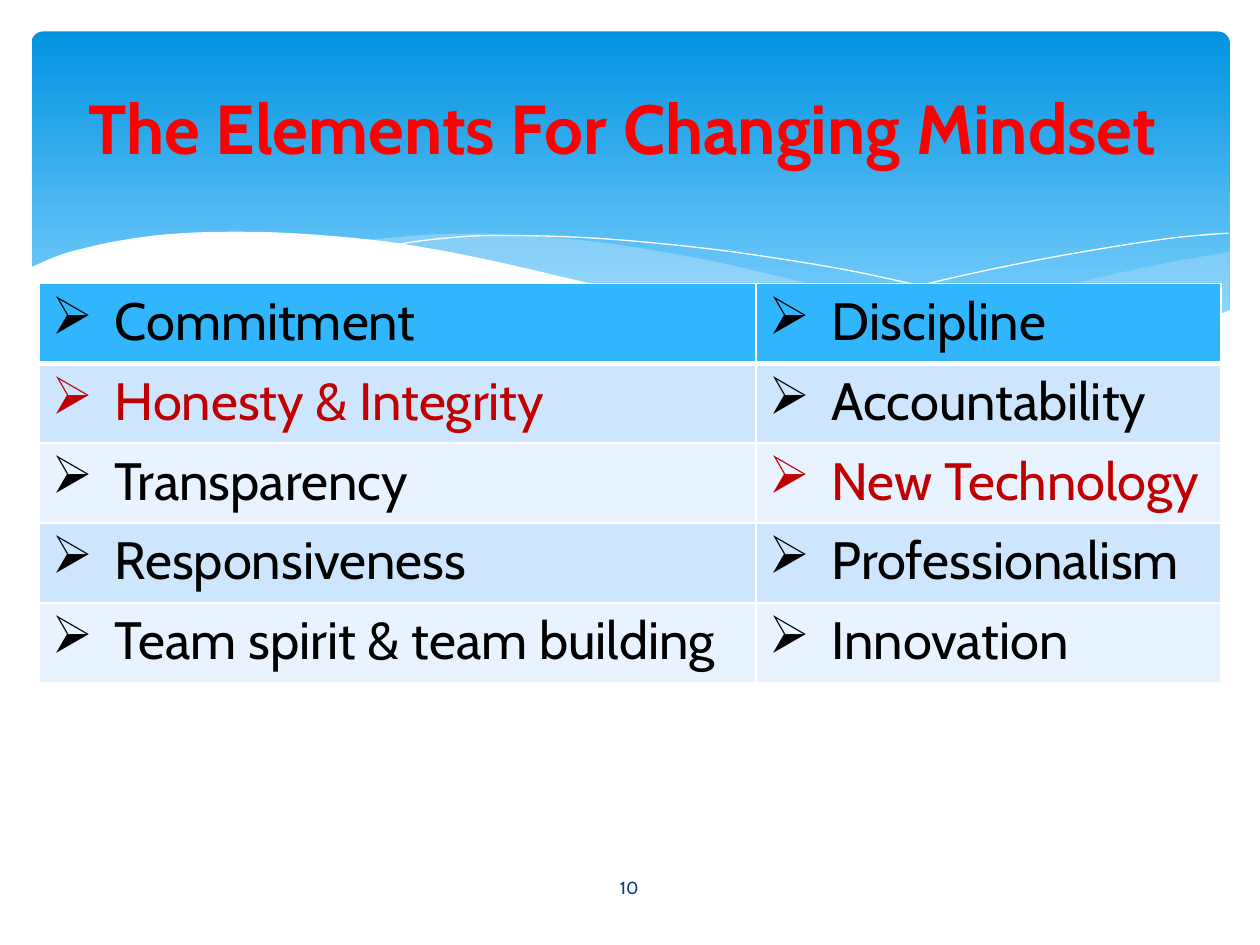
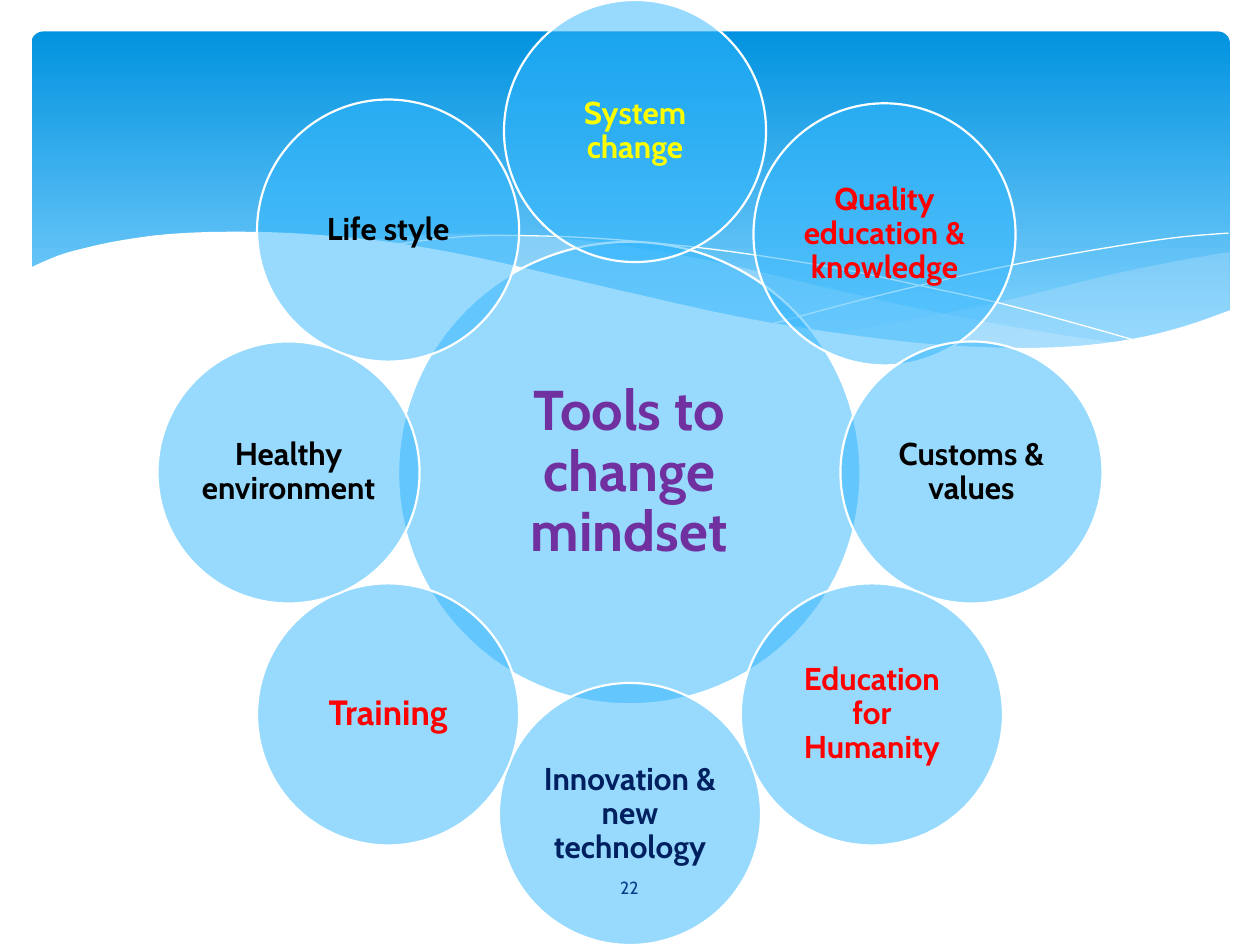
from dataclasses import dataclass
from math import cos, radians, sin

from lxml.etree import SubElement
from pptx import Presentation
from pptx.dml.color import RGBColor
from pptx.enum.shapes import MSO_SHAPE as Preset
from pptx.enum.text import MSO_ANCHOR as Anchor, PP_ALIGN as Align
from pptx.oxml.ns import qn
from pptx.util import Pt

PX = 9144


@dataclass(frozen=True)
class Theme:
    font: str = "Cabin"
    sky: str = "0293E0"
    sky_pale: str = "83D3FE"
    swell: str = "C6E7FC"
    white: str = "FFFFFF"
    black: str = "000000"
    red: str = "FF0000"
    crimson: str = "C00000"
    purple: str = "7030A0"
    yellow: str = "FFFF00"
    navy: str = "002060"
    page_ink: str = "073E87"
    accent: str = "31B6FD"
    row_dark: str = "CEE5FE"
    row_light: str = "E8F3FF"
    title_size: float = 39.6
    table_size: int = 30
    hub_size: int = 32
    tool_size: int = 18
    training_size: int = 20
    page_size: int = 10


@dataclass(frozen=True)
class Box:
    x: int
    y: int
    w: int
    h: int

    def emu(self):
        return [side * PX for side in (self.x, self.y, self.w, self.h)]


THEME = Theme()
BAND = Box(25, 25, 951, 270)
TITLE = Box(44, 67, 900, 67)
PAGE_NUMBER = Box(436, 684, 127, 40)
TABLE = Box(31, 225, 938, 317)
RING = Box(125, 0, 750, 750)

RIGHT_SWELL_TOP = [
    (951, 175), (910, 182), (866, 191), (836, 198),
    (780, 212), (728, 223), (681, 232), (636, 240),
]
RIGHT_SWELL_BASE = [
    (636, 240), (680, 246), (720, 250), (767, 252), (810, 252),
    (856, 249), (896, 240), (924, 232), (951, 222),
]
MIDDLE_SWELL_TOP = [
    (868, 248), (812, 240), (750, 229), (681, 215), (604, 197), (544, 183),
    (489, 173), (440, 166), (374, 161), (319, 161), (261, 166),
]
MIDDLE_SWELL_BASE = [
    (261, 166), (317, 174), (379, 186), (424, 197), (505, 215), (576, 230),
    (640, 241), (697, 249), (748, 252), (803, 253), (868, 248),
]
FALLING_LINE = [
    (284, 170), (319, 165), (362, 162), (425, 163), (485, 167), (557, 175),
    (640, 188), (702, 201), (770, 216), (844, 236), (882, 247),
]
RISING_LINE = [
    (588, 232), (647, 216), (695, 204), (751, 191),
    (811, 179), (870, 169), (913, 163), (950, 160),
]
FRONT_WAVE = [
    (952, 221), (915, 234), (874, 244), (825, 250), (768, 251), (701, 247),
    (623, 237), (554, 225), (478, 208), (422, 195), (366, 182), (315, 172),
    (267, 165), (205, 160), (152, 159), (107, 161), (70, 166), (42, 172),
    (21, 178), (-2, 188),
]
FRONT_CORNERS = [(-2, 304), (952, 304)]

ELEMENTS = [
    [("Commitment", THEME.black), ("Discipline", THEME.black)],
    [("Honesty & Integrity", THEME.crimson), ("Accountability", THEME.black)],
    [("Transparency", THEME.black), ("New Technology", THEME.crimson)],
    [("Responsiveness", THEME.black), ("Professionalism", THEME.black)],
    [("Team spirit & team building", THEME.black), ("Innovation", THEME.black)],
]

TOOLS = [
    ("System change", THEME.yellow, THEME.tool_size, (4, 0)),
    ("Quality education & knowledge", THEME.red, THEME.tool_size, (10, 3)),
    ("Customs & values", THEME.black, THEME.tool_size, (0, 0)),
    ("Education for Humanity", THEME.red, THEME.tool_size, (0, 0)),
    ("Innovation & new technology", THEME.navy, THEME.tool_size, (0, 0)),
    ("Training", THEME.red, THEME.training_size, (0, 0)),
    ("Healthy environment", THEME.black, THEME.tool_size, (0, 0)),
    ("Life style", THEME.black, THEME.tool_size, (0, 0)),
]


def rgb(code):
    return RGBColor.from_string(code)


def add_span(para, text, size, color, bold=False):
    span = para.add_run()
    span.text = text
    span.font.name = THEME.font
    span.font.size = Pt(size)
    span.font.bold = bold
    span.font.color.rgb = rgb(color)


def write_centred(frame, text, size, color, bold=False, margin=None):
    frame.word_wrap = True
    frame.vertical_anchor = Anchor.MIDDLE
    if margin is not None:
        frame.margin_left = frame.margin_right = margin * PX
        frame.margin_top = frame.margin_bottom = margin * PX
    para = frame.paragraphs[0]
    para.alignment = Align.CENTER
    add_span(para, text, size, color, bold)
    return para


def paint(shape, color, opacity=100):
    shape.shadow.inherit = False
    shape.fill.solid()
    shape.fill.fore_color.rgb = rgb(color)
    if opacity < 100:
        tint = shape.element.spPr.find(qn("a:solidFill")).find(qn("a:srgbClr"))
        SubElement(tint, qn("a:alpha"), val=str(opacity * 1000))


def smooth(knots, steps=4):
    padded = [knots[0], *knots, knots[-1]]
    curve = []
    for a, b, c, d in zip(padded, padded[1:], padded[2:], padded[3:]):
        for step in range(steps):
            t = step / steps
            curve.append(tuple(
                q + t * (r - p + t * (2 * p - 5 * q + 4 * r - s
                                      + t * (3 * q - p - 3 * r + s))) / 2
                for p, q, r, s in zip(a, b, c, d)
            ))
    return curve + [knots[-1]]


def add_outline(page, box, points, closed):
    placed = [((box.x + x) * PX, (box.y + y) * PX) for x, y in points]
    builder = page.shapes.build_freeform(*placed[0], scale=1.0)
    builder.add_line_segments(placed[1:], close=closed)
    return builder.convert_to_shape()


def add_swell(page, box, points, color, opacity=100):
    swell = add_outline(page, box, points, True)
    paint(swell, color, opacity)
    swell.line.fill.background()


def add_hairline(page, box, knots):
    hairline = add_outline(page, box, smooth(knots), False)
    hairline.shadow.inherit = False
    hairline.fill.background()
    hairline.line.color.rgb = rgb(THEME.white)
    hairline.line.width = Pt(0)


def add_wave_band(page, box):
    band = page.shapes.add_shape(Preset.ROUNDED_RECTANGLE, *box.emu())
    band.adjustments[0] = 0.034
    band.shadow.inherit = False
    band.line.fill.background()
    band.fill.gradient()
    band.fill.gradient_angle = 270
    stops = zip(band.fill.gradient_stops, (THEME.sky, THEME.sky_pale), (0, 0.9))
    for stop, color, position in stops:
        stop.color.rgb = rgb(color)
        stop.position = position
    right = smooth(RIGHT_SWELL_TOP) + smooth(RIGHT_SWELL_BASE)
    middle = smooth(MIDDLE_SWELL_TOP) + smooth(MIDDLE_SWELL_BASE)
    add_swell(page, box, right, THEME.swell, 29)
    add_swell(page, box, middle, THEME.swell, 40)
    add_hairline(page, box, FALLING_LINE)
    add_hairline(page, box, RISING_LINE)
    add_swell(page, box, smooth(FRONT_WAVE) + FRONT_CORNERS, THEME.white)


def place_title(page, box, text):
    title = page.shapes.title
    title.element.getparent().append(title.element)
    title.left, title.top, title.width, title.height = box.emu()
    write_centred(title.text_frame, text, THEME.title_size, THEME.red, True)


def add_page_number(page, box, number):
    label = page.shapes.add_textbox(*box.emu())
    write_centred(label.text_frame, str(number), THEME.page_size, THEME.page_ink)


def add_borders(cell, bottom):
    properties = cell._tc.get_or_add_tcPr()
    for side, width in (("L", 1), ("R", 1), ("T", 1), ("B", bottom)):
        line = SubElement(properties, qn(f"a:ln{side}"), w=str(Pt(width)))
        SubElement(SubElement(line, qn("a:solidFill")), qn("a:srgbClr"), val=THEME.white)


def fill_cell(cell, text, color, fill, bottom):
    add_borders(cell, bottom)
    cell.fill.solid()
    cell.fill.fore_color.rgb = rgb(fill)
    para = cell.text_frame.paragraphs[0]
    properties = para._p.get_or_add_pPr()
    properties.set("marL", str(50 * PX))
    properties.set("indent", str(-50 * PX))
    SubElement(properties, qn("a:buChar"), char="➢")
    add_span(para, text, THEME.table_size, color)


def add_elements_table(page, box):
    table = page.shapes.add_table(len(ELEMENTS), 2, *box.emu()).table
    table.first_row = table.horz_banding = False
    left_width = 569
    table.columns[0].width = left_width * PX
    table.columns[1].width = (box.w - left_width) * PX
    for index, entries in enumerate(ELEMENTS):
        band_fill = THEME.row_dark if index % 2 else THEME.row_light
        fill = band_fill if index else THEME.accent
        bottom = 1 if index else 3
        for column, (text, color) in enumerate(entries):
            fill_cell(table.cell(index, column), text, color, fill, bottom)


def add_circle(page, centre, diameter, text, size, color, margin):
    x, y = (round(middle - diameter / 2) for middle in centre)
    circle = page.shapes.add_shape(Preset.OVAL, *Box(x, y, diameter, diameter).emu())
    paint(circle, THEME.accent, 50)
    circle.line.color.rgb = rgb(THEME.white)
    circle.line.width = Pt(1.25)
    para = write_centred(circle.text_frame, text, size, color, True, margin)
    para.line_spacing = 0.9


def add_tools_ring(page, box):
    hub_diameter, tool_diameter = 367, 208
    radius = (box.h - tool_diameter) / 2
    x, y = box.x + box.w / 2, box.y + box.h / 2
    add_circle(page, (x, y), hub_diameter, "Tools to change mindset",
               THEME.hub_size, THEME.purple, 4)
    for index, (text, color, size, (dx, dy)) in enumerate(TOOLS):
        angle = radians(360 / len(TOOLS) * index)
        centre = (x + radius * sin(angle) + dx, y - radius * cos(angle) + dy)
        add_circle(page, centre, tool_diameter, text, size, color, 3)


def add_elements_page(deck):
    page = deck.slides.add_slide(deck.slide_layouts[5])
    add_wave_band(page, BAND)
    add_page_number(page, PAGE_NUMBER, 10)
    place_title(page, TITLE, "The Elements For Changing Mindset")
    add_elements_table(page, TABLE)


def add_tools_page(deck):
    page = deck.slides.add_slide(deck.slide_layouts[6])
    add_wave_band(page, BAND)
    add_tools_ring(page, RING)
    add_page_number(page, PAGE_NUMBER, 22)


def main():
    deck = Presentation()
    deck.slide_width, deck.slide_height = 1000 * PX, 750 * PX
    add_elements_page(deck)
    add_tools_page(deck)
    deck.save("out.pptx")


if __name__ == "__main__":
    main()
